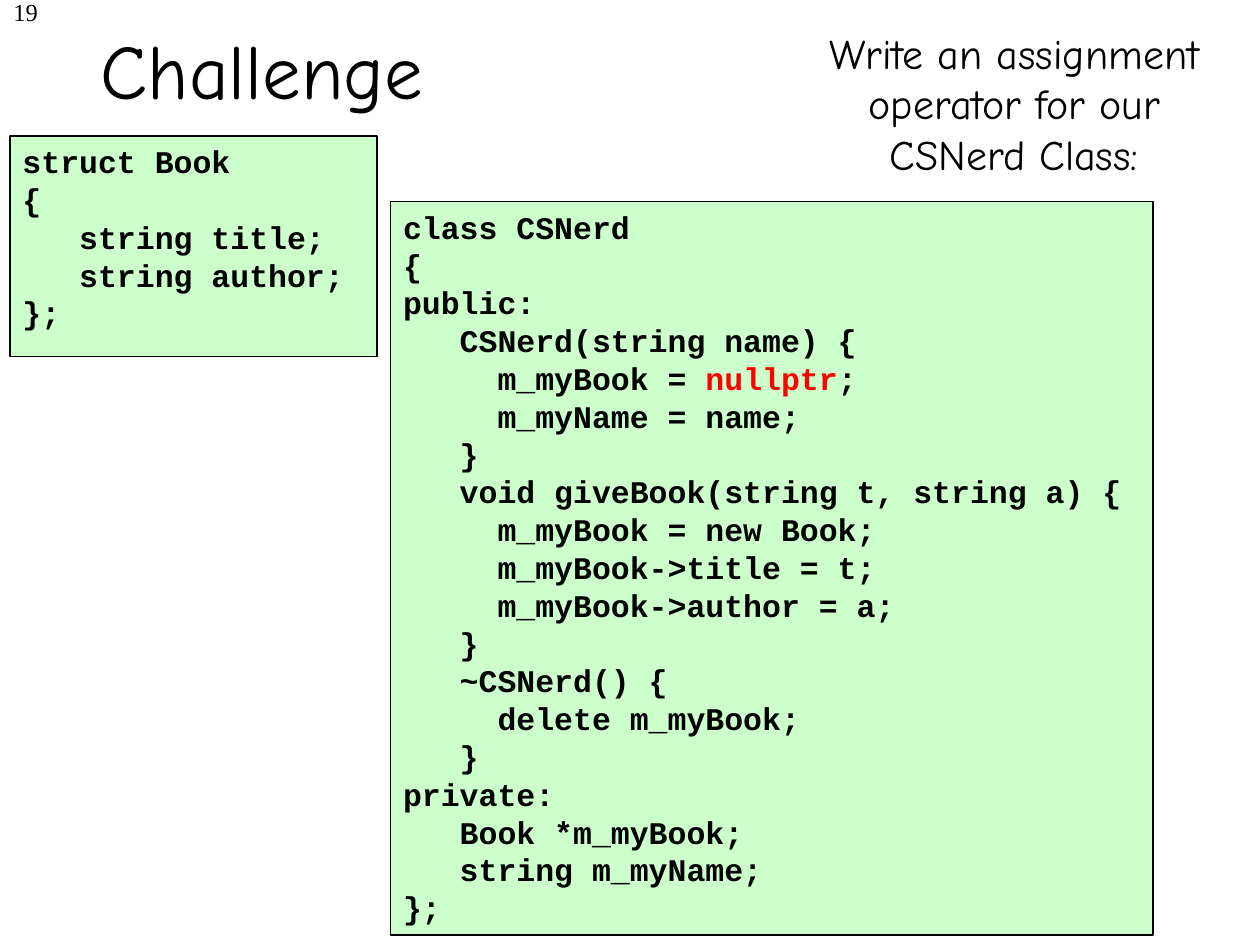
import dataclasses

import pptx
import pptx.dml.color
import pptx.enum.shapes
import pptx.enum.text
import pptx.util

ALIGN = pptx.enum.text.PP_ALIGN
ANCHOR = pptx.enum.text.MSO_ANCHOR
AUTO_SIZE = pptx.enum.text.MSO_AUTO_SIZE

SLIDE_WIDTH = pptx.util.Inches(10)
SLIDE_HEIGHT = pptx.util.Inches(7.5)
COLUMNS, ROWS = 100, 75


@dataclasses.dataclass(frozen=True)
class Theme:
    ink: str = "000000"
    accent: str = "FF0000"
    panel: str = "CCFFCC"
    heading_font: str = "Comic Neue"
    code_font: str = "Courier New"
    number_font: str = "Times New Roman"
    title_size: float = 44
    task_size: float = 24
    code_size: float = 18
    number_size: float = 14
    border: float = 1
    code_advance: float = 0.6


THEME = Theme()

BOOK_CODE = """struct Book
{
   string title;
   string author;
};"""

NERD_CODE = """class CSNerd
{
public:
   CSNerd(string name) {
     m_myBook = nullptr;
     m_myName = name;
   }
   void giveBook(string t, string a) {
     m_myBook = new Book;
     m_myBook->title = t;
     m_myBook->author = a;
   }
   ~CSNerd() {
     delete m_myBook;
   }
private:
   Book *m_myBook;
   string m_myName;
};"""


def rgb(color):
    return pptx.dml.color.RGBColor.from_string(color)


def grid_box(left, top, width, height):
    return (
        round(SLIDE_WIDTH * left / COLUMNS),
        round(SLIDE_HEIGHT * top / ROWS),
        round(SLIDE_WIDTH * width / COLUMNS),
        round(SLIDE_HEIGHT * height / ROWS),
    )


def split_keyword(line, keyword):
    if not keyword or keyword not in line:
        return [line]
    before, after = line.split(keyword, 1)
    return [part for part in (before, keyword, after) if part]


def write(frame, text, *, font, size, bold=False, align=ALIGN.LEFT,
          anchor=ANCHOR.TOP, fit=AUTO_SIZE.NONE, keyword=None):
    frame.word_wrap = True
    frame.auto_size = fit
    frame.vertical_anchor = anchor
    for index, line in enumerate(text.split("\n")):
        paragraph = frame.paragraphs[0] if index == 0 else frame.add_paragraph()
        paragraph.alignment = align
        content = line.lstrip()
        depth = len(line) - len(content)
        if depth:
            indent = pptx.util.Pt(depth * size * THEME.code_advance)
            properties = paragraph._p.get_or_add_pPr()
            properties.set("marL", str(indent))
            properties.set("indent", "0")
        for part in split_keyword(content, keyword):
            run = paragraph.add_run()
            run.text = part
            run.font.name = font
            run.font.size = pptx.util.Pt(size)
            run.font.bold = bold
            run.font.color.rgb = rgb(THEME.accent if part == keyword else THEME.ink)


def add_title(slide, text, box):
    title = slide.shapes.title
    title.left, title.top, title.width, title.height = box
    write(title.text_frame, text, font=THEME.heading_font, size=THEME.title_size,
          align=ALIGN.CENTER, anchor=ANCHOR.MIDDLE)


def add_label(slide, text, box, **text_format):
    label = slide.shapes.add_textbox(*box)
    write(label.text_frame, text, **text_format)


def add_code_panel(slide, code, box, keyword=None):
    panel = slide.shapes.add_shape(
        pptx.enum.shapes.MSO_SHAPE.RECTANGLE, *box)
    panel.shadow.inherit = False
    panel.fill.solid()
    panel.fill.fore_color.rgb = rgb(THEME.panel)
    panel.line.color.rgb = rgb(THEME.ink)
    panel.line.width = pptx.util.Pt(THEME.border)
    write(panel.text_frame, code, font=THEME.code_font, size=THEME.code_size,
          bold=True, fit=AUTO_SIZE.SHAPE_TO_FIT_TEXT, keyword=keyword)


def main():
    deck = pptx.Presentation()
    deck.slide_width = SLIDE_WIDTH
    deck.slide_height = SLIDE_HEIGHT
    slide = deck.slides.add_slide(deck.slide_layouts.get_by_name("Title Only"))

    add_label(slide, "19", grid_box(-16.8, -0.7, 20.8, 5),
              font=THEME.number_font, size=THEME.number_size, align=ALIGN.RIGHT)
    add_title(slide, "Challenge", grid_box(-21.7, -0.8, 85, 12.5))
    add_label(slide, "Write an assignment operator for our CSNerd Class:",
              grid_box(63.1, 1.7, 34.8, 13), font=THEME.heading_font,
              size=THEME.task_size, align=ALIGN.CENTER,
              fit=AUTO_SIZE.SHAPE_TO_FIT_TEXT)
    add_code_panel(slide, BOOK_CODE, grid_box(0.8, 10.8, 29.1, 17.5))
    add_code_panel(slide, NERD_CODE, grid_box(31, 16, 60.5, 58.2),
                   keyword="nullptr")

    deck.save("out.pptx")


if __name__ == "__main__":
    main()
